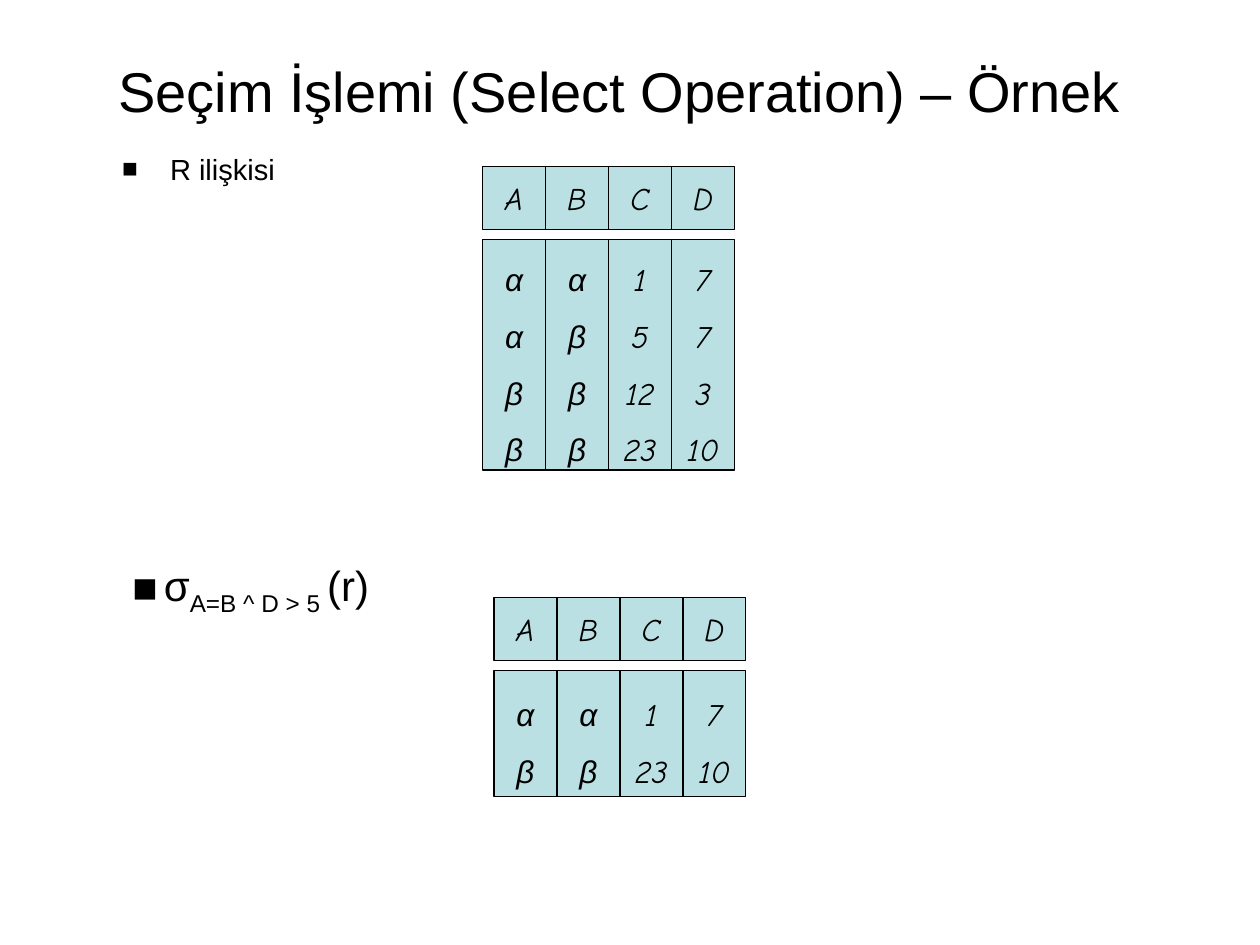
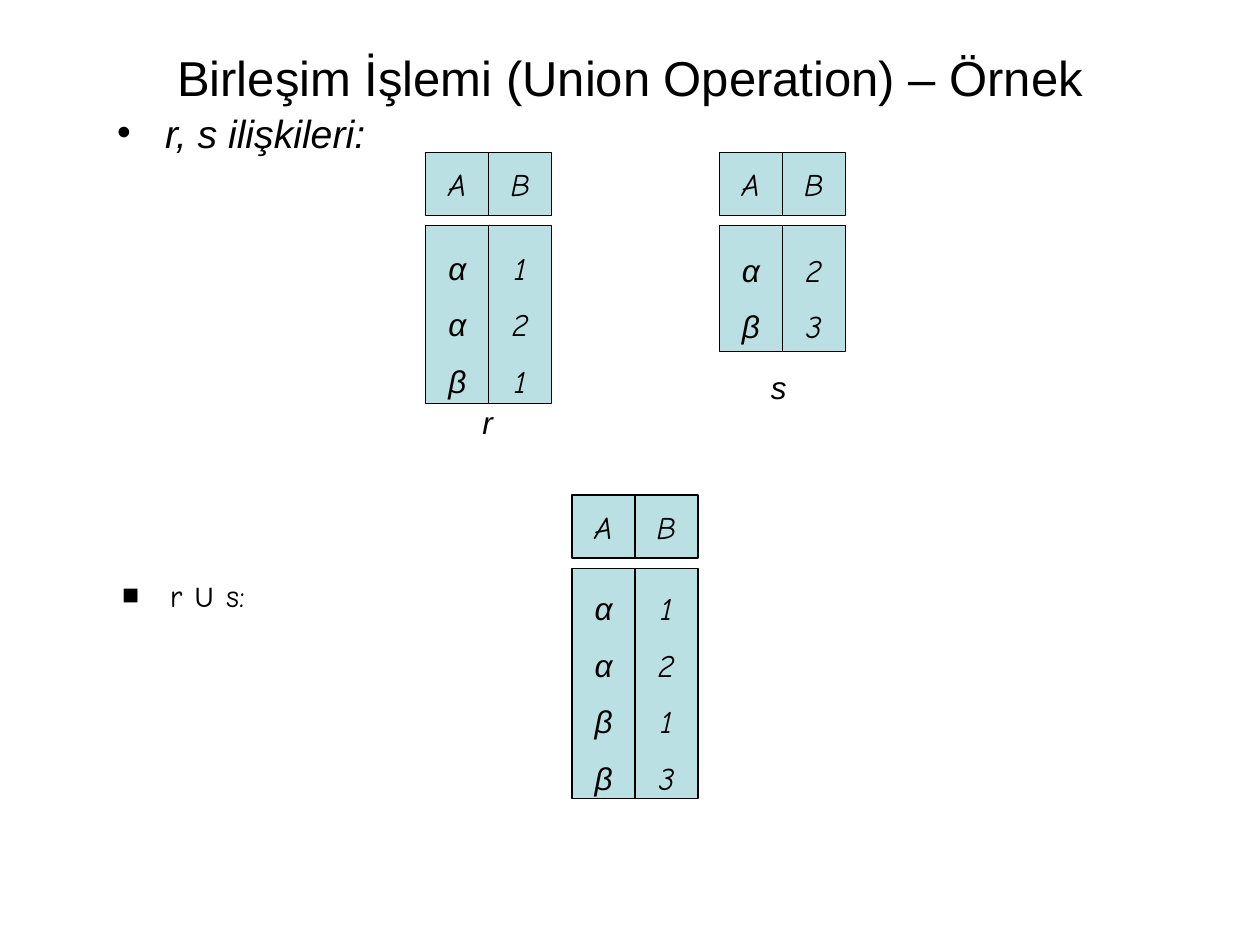
from lxml.etree import SubElement
from pptx import Presentation
from pptx.dml.color import RGBColor
from pptx.enum.shapes import MSO_SHAPE as Shape
from pptx.enum.text import MSO_ANCHOR as Anchor, MSO_AUTO_SIZE as Fit, PP_ALIGN as Align
from pptx.oxml.ns import qn
from pptx.util import Inches, Pt


def color(hex_code):
    return RGBColor.from_string(hex_code)


class RelationDeck:
    COLUMNS, ROWS = 20, 15
    INK, CELL = "000000", "BBE0E3"
    SANS, HAND = "Arial", "Comic Neue"
    HEADER_GAP = 0.16
    BODY_PADDING, TUPLE_HEIGHT = 0.34, 0.83

    def __init__(self):
        self.deck = Presentation()
        self.deck.slide_width = Inches(10)
        self.deck.slide_height = Inches(7.5)
        self.slide = None

    def area(self, left, top, width, height):
        column = self.deck.slide_width / self.COLUMNS
        row = self.deck.slide_height / self.ROWS
        return [round(n) for n in (left * column, top * row, width * column, height * row)]

    def place(self, holder, grid):
        holder.left, holder.top, holder.width, holder.height = self.area(*grid)
        return holder

    def fill_text(self, frame, lines, size, font=SANS, italic=False, align=Align.CENTER,
                  spacing=None, anchor=Anchor.MIDDLE, wrap=False, fit=Fit.NONE, bullet=None):
        frame.word_wrap = wrap
        frame.auto_size = fit
        frame.vertical_anchor = anchor
        frame.text = "\n".join(lines)
        for paragraph in frame.paragraphs:
            if bullet:
                self.add_bullet(paragraph, *bullet)
            paragraph.alignment = align
            paragraph.space_before = Pt(0)
            if spacing:
                paragraph.line_spacing = spacing
            paragraph.font.name = font
            paragraph.font.size = Pt(size)
            paragraph.font.italic = italic
            paragraph.font.color.rgb = color(self.INK)

    def add_bullet(self, paragraph, mark, indent=0.38, percent=100):
        props = paragraph._p.get_or_add_pPr()
        props.set("marL", str(Inches(indent)))
        props.set("indent", str(-Inches(indent)))
        tint = SubElement(props, qn("a:buClr"))
        SubElement(tint, qn("a:srgbClr"), val=self.INK)
        SubElement(props, qn("a:buSzPct"), val=str(percent * 1000))
        SubElement(props, qn("a:buFont"), typeface=self.SANS)
        SubElement(props, qn("a:buChar"), char=mark)

    def start(self, title, grid, size):
        self.slide = self.deck.slides.add_slide(self.deck.slide_layouts[1])
        heading = self.place(self.slide.shapes.title, grid)
        self.fill_text(heading.text_frame, [title], size, wrap=True)

    def item(self, holder, parts, size, **style):
        frame = holder.text_frame
        self.fill_text(frame, parts[:1], size, **style)
        paragraph = frame.paragraphs[0]
        for text in parts[1:]:
            paragraph.add_run().text = text
        return paragraph.runs

    def body(self, grid):
        return self.place(self.slide.placeholders[1], grid)

    def box(self, grid):
        return self.slide.shapes.add_textbox(*self.area(*grid))

    def label(self, text, grid):
        self.fill_text(self.box(grid).text_frame, [text], 18, italic=True,
                       fit=Fit.SHAPE_TO_FIT_TEXT)

    def cell(self, grid, lines, font, spacing=None):
        block = self.slide.shapes.add_shape(Shape.RECTANGLE, *self.area(*grid))
        block.shadow.inherit = False
        block.fill.solid()
        block.fill.fore_color.rgb = color(self.CELL)
        block.line.color.rgb = color(self.INK)
        block.line.width = Pt(0.75)
        self.fill_text(block.text_frame, lines, 18, font, True, spacing=spacing)

    def relation(self, left, top, attributes, tuples):
        height = self.BODY_PADDING + self.TUPLE_HEIGHT * len(tuples)
        for offset, (attribute, values) in enumerate(zip(attributes, zip(*tuples))):
            x = left + offset
            font = self.SANS if values[0] in "αβ" else self.HAND
            self.cell((x, top, 1, 1), [attribute], self.HAND)
            self.cell((x, top + 1 + self.HEADER_GAP, 1, height), values, font, 1.5)


LISTING = {"align": Align.LEFT, "anchor": Anchor.TOP, "wrap": True}
SMALL_SQUARE = ("■", 0.38, 90)


def select_slide(deck):
    deck.start("Seçim İşlemi (Select Operation) – Örnek", (0.84, 0.5, 18, 1.86), 32)
    deck.item(deck.body((1.74, 2.36, 3.58, 0.8)), ["R ilişkisi"], 16.6,
              bullet=SMALL_SQUARE, spacing=0.9, **LISTING)
    deck.relation(7.66, 2.64, "ABCD", [("α", "α", "1", "7"), ("α", "β", "5", "7"),
                                       ("β", "β", "12", "3"), ("β", "β", "23", "10")])
    sigma, condition, operand = deck.item(
        deck.box((1.9, 8.78, 4.16, 1.12)), ["σ", "A=B ^ D > 5 ", "(r)"], 24,
        bullet=("■", 0.25), fit=Fit.SHAPE_TO_FIT_TEXT)
    condition._r.get_or_add_rPr().set("baseline", "-25000")
    deck.relation(7.84, 9.48, "ABCD", [("α", "α", "1", "7"), ("β", "β", "23", "10")])


def union_slide(deck):
    deck.start("Birleşim İşlemi (Union Operation) – Örnek", (1, 0.6, 18, 1.24), 28)
    deck.item(deck.body((1.66, 1.84, 15, 0.74)), ["r, s ilişkileri:"], 22.4,
              bullet=("•",), italic=True, spacing=0.7, **LISTING)
    r, union, s = deck.item(deck.box((1.74, 9.16, 15.38, 0.72)), ["r ", "∪", " s:"], 18,
                            bullet=SMALL_SQUARE, font=deck.HAND, spacing=0.8, **LISTING)
    union.font.name = deck.SANS
    deck.relation(6.76, 2.42, "AB", [("α", "1"), ("α", "2"), ("β", "1")])
    deck.relation(11.42, 2.42, "AB", [("α", "2"), ("β", "3")])
    deck.label("r", (7.46, 6.3, 0.56, 0.8))
    deck.label("s", (12.04, 5.74, 0.64, 0.8))
    deck.relation(9.08, 7.86, "AB", [("α", "1"), ("α", "2"), ("β", "1"), ("β", "3")])


def main():
    relations = RelationDeck()
    select_slide(relations)
    union_slide(relations)
    relations.deck.save("out.pptx")


if __name__ == "__main__":
    main()
